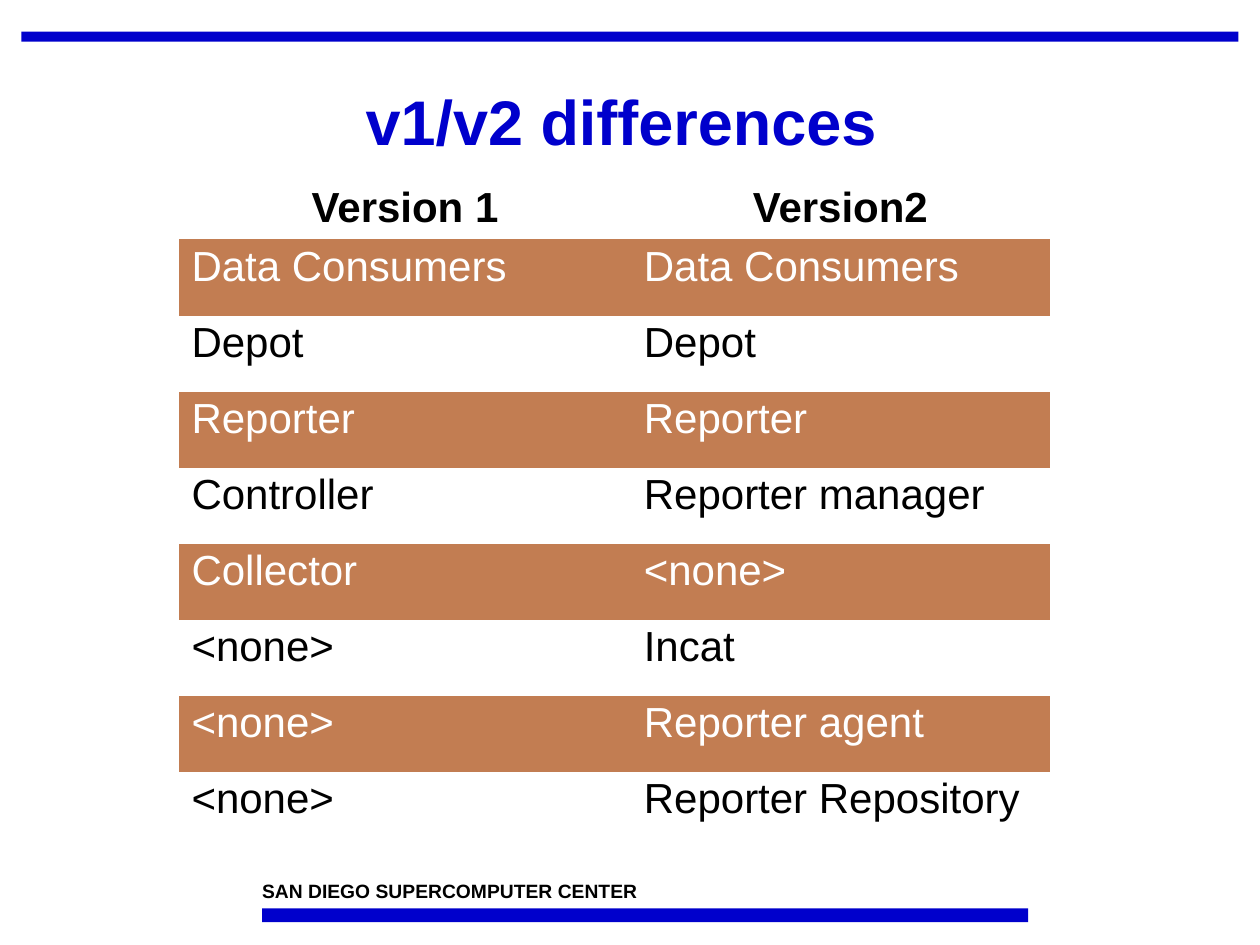
from pptx import Presentation
from pptx import util as u
from pptx.dml import color
from pptx.enum import shapes, text

TITLE = "v1/v2 differences "
FOOTER = "SAN DIEGO SUPERCOMPUTER CENTER"
HEADER = ("Version 1", "Version2")
COMPONENTS = [
    ("Data Consumers", "Data Consumers"),
    ("Depot", "Depot"),
    ("Reporter", "Reporter"),
    ("Controller", "Reporter manager"),
    ("Collector", "<none>"),
    ("<none>", "Incat"),
    ("<none>", "Reporter agent"),
    ("<none>", "Reporter Repository"),
]

COLORS = {"blue": "0000CC", "band": "C27D52", "black": "000000", "white": "FFFFFF"}
FONT = "Arial"
WIDTH, HEIGHT = 10, 7.5
MARGIN = 0.17
CONTENT_WIDTH = WIDTH - 2 * MARGIN
FOOTER_LEFT = 2.08
BARS = [(MARGIN, 0.25, CONTENT_WIDTH, 0.08), (FOOTER_LEFT, 7.21, 6.08, 0.11)]
TABLE_LEFT, TABLE_TOP, TABLE_HEIGHT = 1.42, 1.42, 5.19
COLUMN_WIDTHS = (3.59, 3.32)
EDGE_ROW = 0.48
INNER_ROW = (TABLE_HEIGHT - 2 * EDGE_ROW) / (len(COMPONENTS) - 1)
NO_STYLE_NO_GRID = "{2D5ABB26-0587-4C30-8999-92F81FD0307C}"


def rgb(name):
    return color.RGBColor.from_string(COLORS[name])


def inches(box):
    return [u.Inches(length) for length in box]


def write(frame, words, size, color_name, bold=False, align="LEFT", spacing=1.0):
    paragraph = frame.paragraphs[0]
    paragraph.alignment = getattr(text.PP_ALIGN, align)
    paragraph.line_spacing = spacing
    run = paragraph.add_run()
    run.text = words
    for name, value in {"name": FONT, "size": u.Pt(size), "bold": bold}.items():
        setattr(run.font, name, value)
    run.font.color.rgb = rgb(color_name)


def add_bar(slide, box):
    bar = slide.shapes.add_shape(shapes.MSO_SHAPE.RECTANGLE, *inches(box))
    bar.shadow.inherit = False
    bar.fill.solid()
    bar.fill.fore_color.rgb = rgb("blue")
    bar.line.fill.background()


def add_text(slide, box, words, frame_format, **style):
    frame = slide.shapes.add_textbox(*inches(box)).text_frame
    for name, value in frame_format.items():
        setattr(frame, name, value)
    write(frame, words, **style)


def add_versions_table(slide):
    rows = [HEADER, *COMPONENTS]
    box = (TABLE_LEFT, TABLE_TOP, sum(COLUMN_WIDTHS), TABLE_HEIGHT)
    table = slide.shapes.add_table(len(rows), len(HEADER), *inches(box)).table
    table._tbl.tblPr[0].text = NO_STYLE_NO_GRID
    table.first_row = table.horz_banding = False
    for column, width in zip(table.columns, COLUMN_WIDTHS):
        column.width = u.Inches(width)
    for r, row in enumerate(rows):
        is_header, is_band = r == 0, r % 2 == 1
        is_edge = r in (0, len(rows) - 1)
        table.rows[r].height = u.Inches(EDGE_ROW if is_edge else INNER_ROW)
        for c, words in enumerate(row):
            cell = table.cell(r, c)
            if is_band:
                cell.fill.solid()
                cell.fill.fore_color.rgb = rgb("band")
            else:
                cell.fill.background()
            cell.vertical_anchor = text.MSO_ANCHOR.MIDDLE if is_header else text.MSO_ANCHOR.TOP
            write(cell.text_frame, words, 24, "white" if is_band else "black",
                  bold=is_header, align="CENTER" if is_header else "LEFT", spacing=0.95)


def main():
    presentation = Presentation()
    presentation.slide_width, presentation.slide_height = inches((WIDTH, HEIGHT))
    slide = presentation.slides.add_slide(presentation.slide_layouts[6])
    for box in BARS:
        add_bar(slide, box)
    no_insets = dict.fromkeys(("margin_left", "margin_top", "margin_right", "margin_bottom"), 0)
    add_text(slide, (FOOTER_LEFT, 6.98, 3.75, 0.18), FOOTER, {**no_insets, "word_wrap": True},
             size=11, color_name="black", bold=True)
    add_text(slide, (MARGIN, 0.42, CONTENT_WIDTH, 1.14), TITLE,
             {"word_wrap": True, "vertical_anchor": text.MSO_ANCHOR.MIDDLE},
             size=36, color_name="blue", bold=True, align="CENTER", spacing=0.9)
    add_versions_table(slide)
    presentation.save("out.pptx")


if __name__ == "__main__":
    main()
